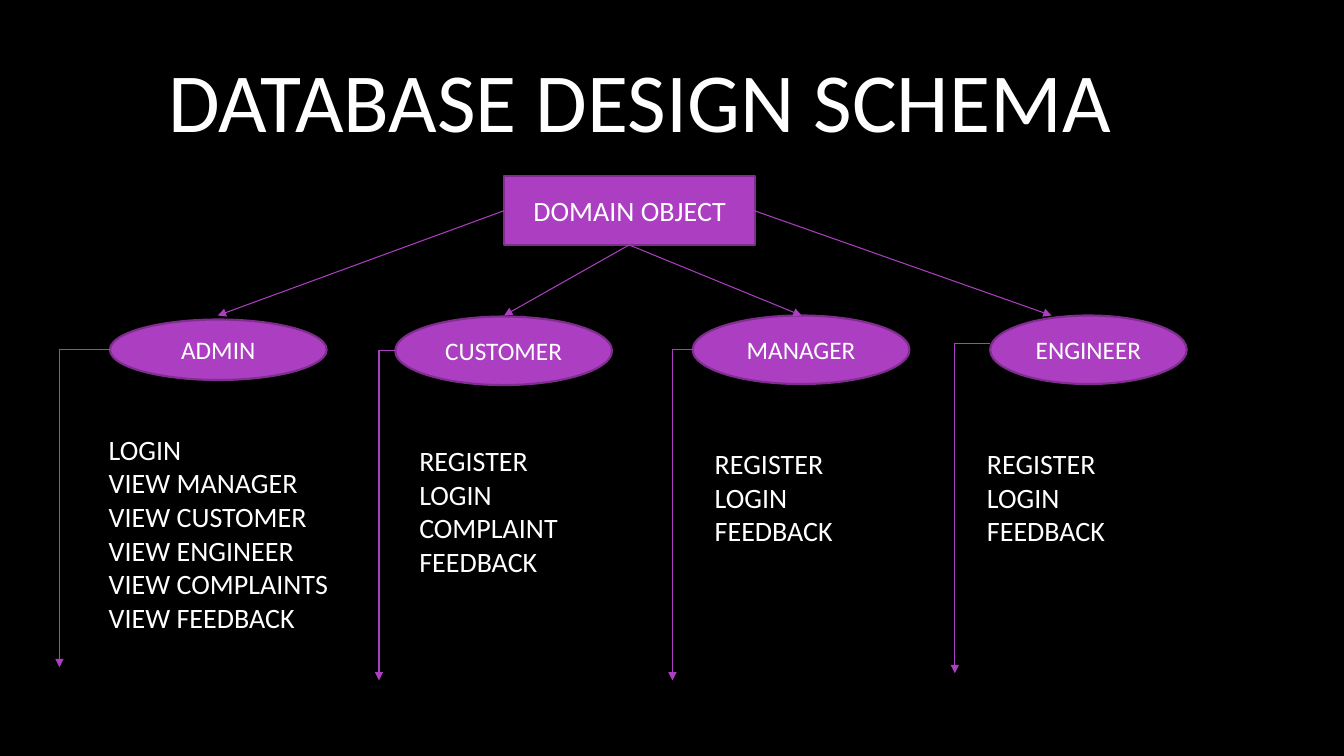
from lxml import etree
from pptx import Presentation
from pptx.dml.color import RGBColor
from pptx.enum.shapes import MSO_CONNECTOR, MSO_SHAPE
from pptx.enum.text import MSO_ANCHOR, PP_ALIGN
from pptx.oxml.ns import qn
from pptx.util import Inches, Pt

BLACK = RGBColor(0x00, 0x00, 0x00)
WHITE = RGBColor(0xFF, 0xFF, 0xFF)
PURPLE = RGBColor(0xAC, 0x3E, 0xC1)
DARK_PURPLE = RGBColor(0x7F, 0x2E, 0x8F)

presentation = Presentation()
presentation.slide_width = Inches(13.33)
presentation.slide_height = Inches(7.5)
slide = presentation.slides.add_slide(presentation.slide_layouts[6])
slide.background.fill.solid()
slide.background.fill.fore_color.rgb = BLACK


def write_lines(shape, lines, size, alignment=PP_ALIGN.LEFT):
    frame = shape.text_frame
    frame.text = "\n".join(lines)
    for paragraph in frame.paragraphs:
        paragraph.alignment = alignment
        font_format = {"name": "Calibri", "size": Pt(size)}
        for name, value in font_format.items():
            setattr(paragraph.font, name, value)
        paragraph.font.color.rgb = WHITE


def add_arrow(kind, start_x, start_y, end_x, end_y):
    arrow = slide.shapes.add_connector(
        kind, Inches(start_x), Inches(start_y), Inches(end_x), Inches(end_y))
    arrow.line.color.rgb = PURPLE
    arrow.line.width = Pt(0.75)
    properties = arrow._element.spPr
    etree.SubElement(arrow.line._get_or_add_ln(), qn("a:tailEnd"), type="triangle")
    etree.SubElement(properties, qn("a:effectLst"))
    if kind == MSO_CONNECTOR.ELBOW:
        # One bend: sideways, then down
        properties.find(qn("a:prstGeom")).set("prst", "bentConnector2")


# Title
title = slide.shapes.add_textbox(Inches(1), Inches(0.19), Inches(11.08), Inches(1.59))
write_lines(title, ["DATABASE DESIGN SCHEMA"], 60)
title_format = {"word_wrap": True, "vertical_anchor": MSO_ANCHOR.MIDDLE,
                "margin_left": Inches(0.67)}
for name, value in title_format.items():
    setattr(title.text_frame, name, value)

# Domain object and its four roles
nodes = [
    ("DOMAIN OBJECT", MSO_SHAPE.RECTANGLE, 20, 5, 1.75, 2.49, 0.68),
    ("ADMIN", MSO_SHAPE.OVAL, 18, 1.09, 3.17, 2.15, 0.6),
    ("CUSTOMER", MSO_SHAPE.OVAL, 18, 3.92, 3.14, 2.15, 0.68),
    ("MANAGER", MSO_SHAPE.OVAL, 18, 6.87, 3.13, 2.15, 0.68),
    ("ENGINEER", MSO_SHAPE.OVAL, 18, 9.82, 3.13, 1.95, 0.68),
]
for label, kind, size, left, top, width, height in nodes:
    node = slide.shapes.add_shape(
        kind, Inches(left), Inches(top), Inches(width), Inches(height))
    node.shadow.inherit = False
    node.fill.solid()
    node.fill.fore_color.rgb = PURPLE
    node.line.color.rgb = DARK_PURPLE
    node.line.width = Pt(1.5)
    node.text_frame.vertical_anchor = MSO_ANCHOR.MIDDLE
    write_lines(node, [label], size, PP_ALIGN.CENTER)

# Arrows from the domain object to the roles
for start_x, start_y, end_x in [(5, 2.09, 2.16), (7.48, 2.09, 10.43),
                                (6.24, 2.43, 5), (6.24, 2.43, 7.95)]:
    add_arrow(MSO_CONNECTOR.STRAIGHT, start_x, start_y, end_x, 3.13)

# Bent arrows beside the action lists
for start_x, start_y, end_x, end_y in [(1.09, 3.47, 0.59, 6.62), (3.92, 3.48, 3.76, 6.75),
                                       (6.87, 3.47, 6.67, 6.75), (9.82, 3.41, 9.47, 6.68)]:
    add_arrow(MSO_CONNECTOR.ELBOW, start_x, start_y, end_x, end_y)

# Actions of each role
action_lists = [
    (0.98, 4.24, 2.39, 2.12, ["LOGIN", "VIEW MANAGER", "VIEW CUSTOMER", "VIEW ENGINEER",
                              "VIEW COMPLAINTS", "VIEW FEEDBACK"]),
    (4.06, 4.35, 1.59, 1.45, ["REGISTER", "LOGIN", "COMPLAINT", "FEEDBACK"]),
    (6.99, 4.38, 1.38, 1.11, ["REGISTER", "LOGIN", "FEEDBACK"]),
    (9.69, 4.38, 1.38, 1.11, ["REGISTER", "LOGIN", "FEEDBACK"]),
]
for left, top, width, height, actions in action_lists:
    action_box = slide.shapes.add_textbox(
        Inches(left), Inches(top), Inches(width), Inches(height))
    write_lines(action_box, actions, 20)

presentation.save("out.pptx")
